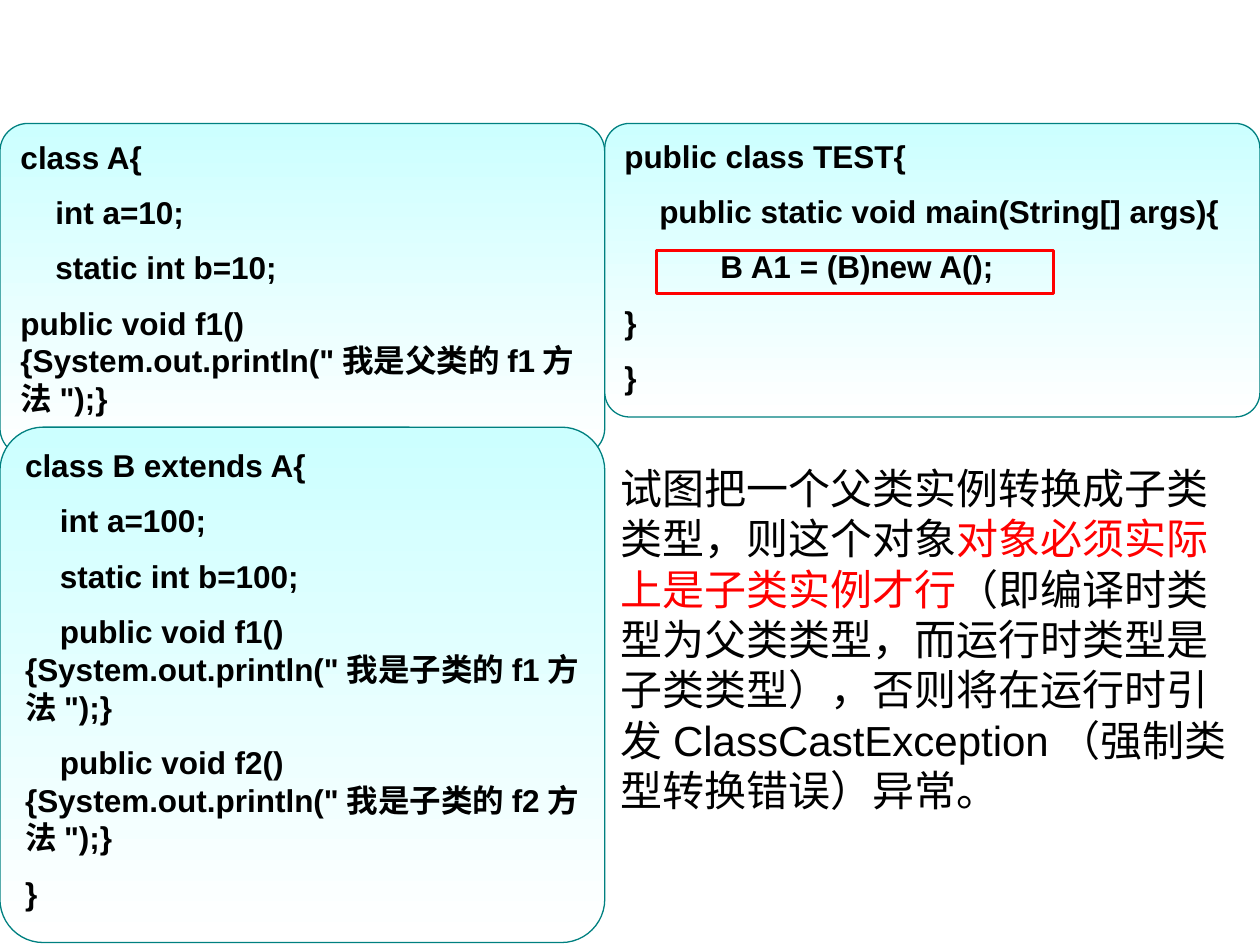
import pptx
import pptx.dml.color
import pptx.enum.shapes
import pptx.enum.text
import pptx.util
from dataclasses import dataclass

Inches = pptx.util.Inches
Pt = pptx.util.Pt
Kind = pptx.enum.shapes.MSO_SHAPE


@dataclass(frozen=True)
class Theme:
    font: str = "Arial"
    code: int = 18
    note: int = 24
    gap: int = 10
    ink: str = "000000"
    red: str = "FF0000"
    edge: str = "008080"
    top: str = "CCFFFF"
    base: str = "FFFFFF"


THEME = Theme()

CLASS_A = [
    "class A{",
    "    int a=10;",
    "    static int b=10;",
    'public void f1(){System.out.println("我是父类的f1方法");}',
    "}",
]
CLASS_B = [
    "class B extends A{",
    "    int a=100;",
    "    static int b=100;",
    '    public void f1()    {System.out.println("我是子类的f1方法");}',
    '    public void f2()    {System.out.println("我是子类的f2方法");}',
    "}",
]
TEST = [
    "public class TEST{",
    "    public static void main(String[] args){",
    "           B A1 = (B)new A();",
    "}",
    "}",
]
NOTE = [
    ("试图把一个父类实例转换成子类类型，则这个对象", THEME.ink),
    ("对象必须实际上是子类实例才行", THEME.red),
    ("（即编译时类型为父类类型，而运行时类型是子类类型），否则将在运行时引发"
     "ClassCastException（强制类型转换错误）异常。", THEME.ink),
]


def color(code):
    return pptx.dml.color.RGBColor.from_string(code)


def add_run(para, text, size, ink, bold=False):
    run = para.add_run()
    run.text = text
    for name, value in {"name": THEME.font, "size": Pt(size), "bold": bold}.items():
        setattr(run.font, name, value)
    run.font.color.rgb = color(ink)


def add_form(slide, kind, box, edge, width):
    form = slide.shapes.add_shape(kind, *map(Inches, box))
    form.shadow.inherit = False
    form.line.color.rgb = color(edge)
    form.line.width = Pt(width)
    return form


def add_code(slide, box, lines):
    """Draw a rounded gradient panel with one paragraph per code line."""
    panel = add_form(slide, Kind.ROUNDED_RECTANGLE, box, THEME.edge, 0.75)
    panel.adjustments[0] = 0.084
    panel.fill.gradient()
    panel.fill.gradient_angle = 270
    for stop, tone in zip(panel.fill.gradient_stops, (THEME.top, THEME.base)):
        stop.color.rgb = color(tone)
    frame = panel.text_frame
    frame.word_wrap = True
    frame.vertical_anchor = pptx.enum.text.MSO_ANCHOR.TOP
    for i, line in enumerate(lines):
        para = frame.add_paragraph() if i else frame.paragraphs[0]
        para.alignment = pptx.enum.text.PP_ALIGN.LEFT
        if i:
            para.space_before = Pt(THEME.gap)
        add_run(para, line, THEME.code, THEME.ink, True)


def add_mark(slide, box):
    """Outline the line of code under discussion."""
    add_form(slide, Kind.RECTANGLE, box, THEME.red, 1.5).fill.background()


def add_note(slide, box, parts):
    frame = slide.shapes.add_textbox(*map(Inches, box)).text_frame
    frame.word_wrap = True
    for text, ink in parts:
        add_run(frame.paragraphs[0], text, THEME.note, ink)


def main():
    deck = pptx.Presentation()
    deck.slide_width, deck.slide_height = Inches(10), Inches(7.5)
    slide = deck.slides.add_slide(deck.slide_layouts[6])
    top, split = 0.98, 4.8
    add_code(slide, (0, top, split, 2.64), CLASS_A)
    add_code(slide, (split, top, 10 - split, 2.33), TEST)
    add_code(slide, (0, 3.39, split, 4.09), CLASS_B)
    add_mark(slide, (5.21, 1.99, 3.15, 0.34))
    add_note(slide, (4.83, 3.62, 5.05, 2.93), NOTE)
    deck.save("out.pptx")


if __name__ == "__main__":
    main()
